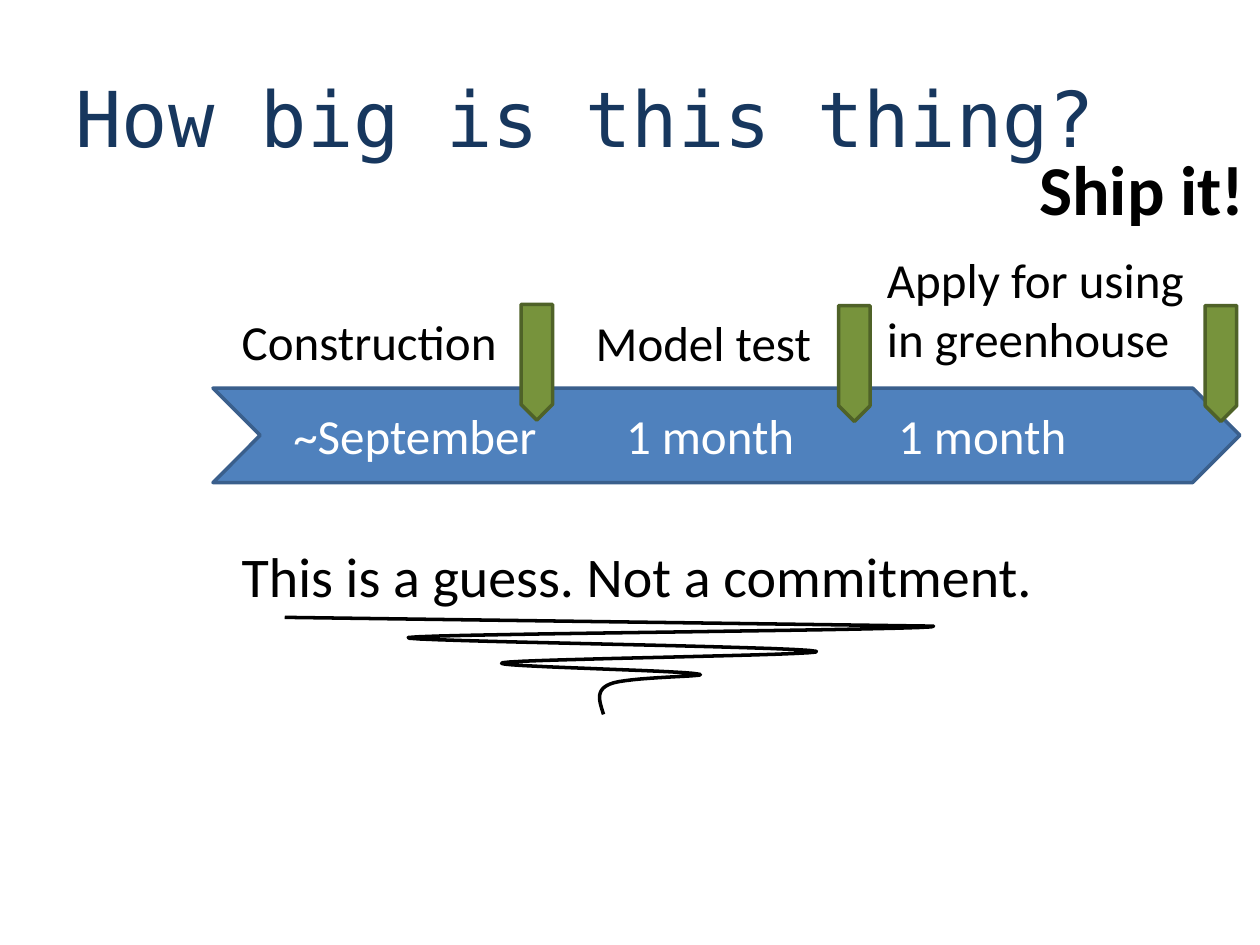
from typing import NamedTuple

from pptx import Presentation
from pptx.dml.color import RGBColor
from pptx.enum.shapes import MSO_SHAPE as Shape
from pptx.enum.text import MSO_ANCHOR as Anchor
from pptx.enum.text import MSO_AUTO_SIZE as AutoSize
from pptx.enum.text import PP_ALIGN as Align
from pptx.util import Inches, Pt

# Grid of square cells: 100 columns by 75 rows
SLIDE_W, SLIDE_H = Inches(10), Inches(7.5)
COL, ROW = SLIDE_W / 100, SLIDE_H / 75

NAVY = RGBColor(0x17, 0x37, 0x5E)
BLUE = RGBColor(0x4F, 0x81, 0xBD)
BLUE_EDGE = RGBColor(0x3A, 0x5F, 0x8C)
GREEN = RGBColor(0x77, 0x93, 0x3C)
GREEN_EDGE = RGBColor(0x4F, 0x62, 0x28)
BLACK = RGBColor(0, 0, 0)
WHITE = RGBColor(0xFF, 0xFF, 0xFF)

MARKER_LENGTH, MARKER_WIDTH = 9.2, 2.5
LINE_HEIGHT = 5.7
CURVE_STEPS = 16

# Label, its box, duration, its left and width, marker centre
PHASES = [
    ("Construction", (1.3, 13.1, 22.5, LINE_HEIGHT), "~September", 5.4, 21.5, (25.7, 17.65)),
    ("Model test", (29.4, 13.2, 19.3, LINE_HEIGHT), "1 month", 31.8, 15.5, (50.9, 17.75)),
    ("Apply for using\nin greenhouse", (52.5, 8.2, 25.8, 10.4), "1 month", 53.4, 15.5, (80, 17.75)),
]

# Two control points and an end point for each swing of the pen
SWINGS = [
    ((53.1, 1), (11.4, 1.3), (9.8, 1.6)),
    ((8.3, 1.9), (40.9, 2.3), (42.2, 2.7)),
    ((43.4, 3), (18.9, 3.3), (17.3, 3.6)),
    ((15.8, 3.9), (31.4, 4.2), (32.8, 4.5)),
    ((34.3, 4.7), (27.1, 4.7), (25.8, 5.3)),
    ((24.6, 5.8), (25, 6.7), (25.3, 7.7)),
]


class Box(NamedTuple):
    left: float
    top: float
    width: float
    height: float

    def inner(self, left, top, width, height):
        return Box(self.left + left, self.top + top, width, height)

    def emu(self):
        return (round(self.left * COL), round(self.top * ROW),
                round(self.width * COL), round(self.height * ROW))


def style_font(paragraph, size, color, name="Calibri", bold=False):
    for run in paragraph.runs:
        font = run.font
        font.size, font.name, font.bold = Pt(size), name, bold
        font.color.rgb = color


def add_label(slide, box, text, size=28, color=BLACK, bold=False):
    frame = slide.shapes.add_textbox(*box.emu()).text_frame
    frame.word_wrap = False
    frame.auto_size = AutoSize.SHAPE_TO_FIT_TEXT
    paragraph = frame.paragraphs[0]
    paragraph.text = text
    style_font(paragraph, size, color, bold=bold)


def add_block(slide, kind, box, fill, edge):
    block = slide.shapes.add_shape(kind, *box.emu())
    block.shadow.inherit = False
    block.fill.solid()
    block.fill.fore_color.rgb = fill
    block.line.color.rgb = edge
    block.line.width = Pt(2)
    return block


def add_title(slide, box):
    title = slide.shapes.title
    title.left, title.top, title.width, title.height = box.emu()
    frame = title.text_frame
    frame.text = "How big is this thing?"
    frame.vertical_anchor = Anchor.MIDDLE
    frame.paragraphs[0].alignment = Align.LEFT
    style_font(frame.paragraphs[0], 44, NAVY, "DejaVu Sans Mono")


def add_timeline(slide, box):
    add_block(slide, Shape.CHEVRON, box.inner(0, 19.7, 81.5, 7.5), BLUE, BLUE_EDGE)
    # Milestones point down into the band
    for *_, (x, y) in PHASES:
        marker_box = box.inner(x - MARKER_LENGTH / 2, y - MARKER_WIDTH / 2,
                               MARKER_LENGTH, MARKER_WIDTH)
        marker = add_block(slide, Shape.PENTAGON, marker_box, GREEN, GREEN_EDGE)
        marker.rotation = 90
    add_label(slide, box.inner(64.6, 0, 18.5, 7.7), "Ship it!", 40, bold=True)
    # Phase names above the band, durations on it
    for name, name_box, duration, left, width, _ in PHASES:
        add_label(slide, box.inner(*name_box), name)
        add_label(slide, box.inner(left, 20.6, width, LINE_HEIGHT), duration, color=WHITE)


def curve_points(start, first, second, end):
    for step in range(1, CURVE_STEPS + 1):
        t = step / CURVE_STEPS
        u = 1 - t
        yield tuple(u**3 * a + 3 * u * u * t * b + 3 * u * t * t * c + t**3 * d
                    for a, b, c, d in zip(start, first, second, end))


def add_scribble(slide, box):
    points = [(0, 0), (51.5, 0.7)]
    for swing in SWINGS:
        points.extend(curve_points(points[-1], *swing))
    start, *rest = [box.inner(x, y, 0, 0).emu()[:2] for x, y in points]
    pen = slide.shapes.build_freeform(*start)
    pen.add_line_segments(rest, close=False)
    scribble = pen.convert_to_shape()
    scribble.shadow.inherit = False
    scribble.fill.background()
    scribble.line.color.rgb = BLACK
    scribble.line.width = Pt(2)


def add_caveat(slide, box):
    add_label(slide, box.inner(0, 0, 66.7, 6.4), "This is a guess. Not a commitment.", 32)
    add_scribble(slide, box.inner(4.4, 6.5, 53.1, 7.7))


def main():
    deck = Presentation()
    deck.slide_width, deck.slide_height = SLIDE_W, SLIDE_H
    slide = deck.slides.add_slide(deck.slide_layouts.get_by_name("Title Only"))
    add_title(slide, Box(5, 3, 90, 12.5))
    add_timeline(slide, Box(16.9, 11.1, 83.1, 27.2))
    add_caveat(slide, Box(18.2, 42.5, 66.7, 14.2))
    deck.save("out.pptx")


if __name__ == "__main__":
    main()
